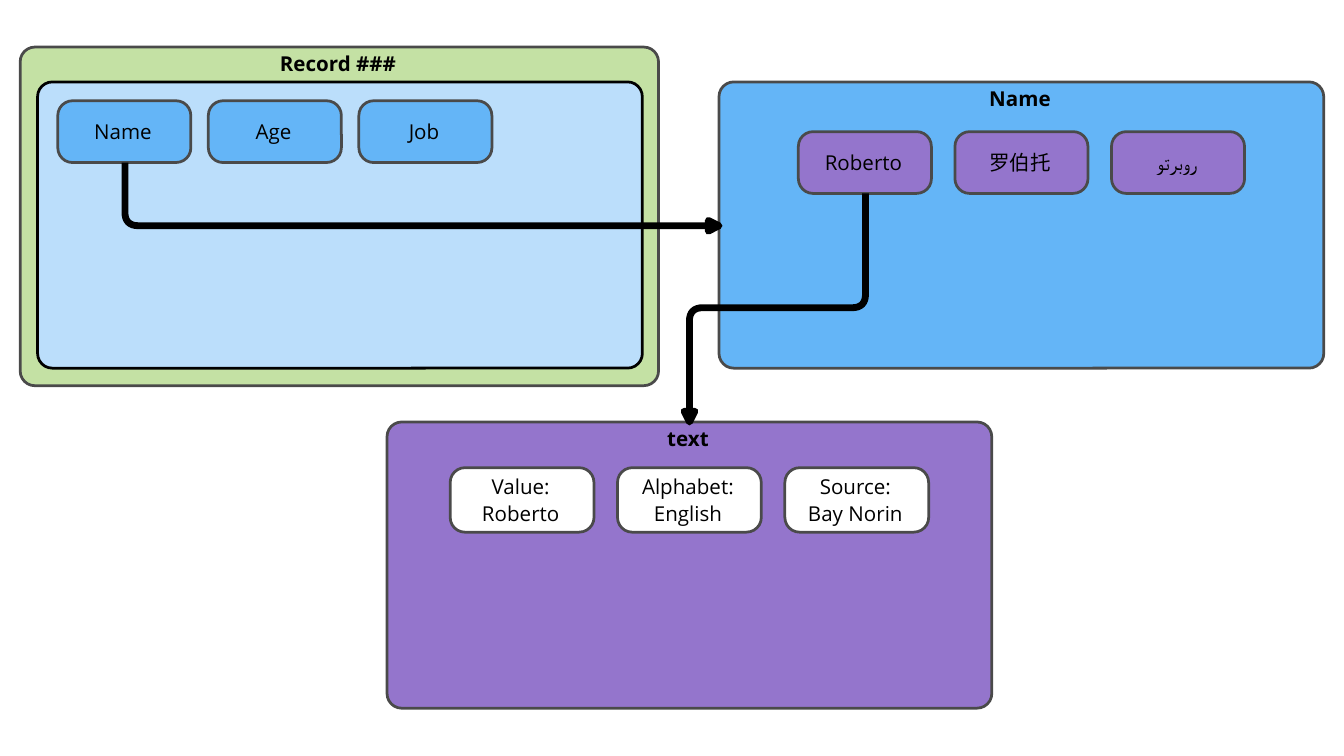
from dataclasses import dataclass

from pptx import Presentation
from pptx.dml.color import RGBColor
from pptx.enum.shapes import MSO_SHAPE
from pptx.enum.text import MSO_ANCHOR, PP_ALIGN
from pptx.util import Inches, Pt

BLACK = RGBColor(0x00, 0x00, 0x00)
WHITE = RGBColor(0xFF, 0xFF, 0xFF)
GRAY = RGBColor(0x4A, 0x4A, 0x4A)
GREEN = RGBColor(0xC4, 0xE1, 0xA4)
PALE_BLUE = RGBColor(0xBB, 0xDE, 0xFB)
BLUE = RGBColor(0x64, 0xB5, 0xF7)
PURPLE = RGBColor(0x94, 0x75, 0xCC)

FONT = "Open Sans"
PAGE_WIDTH = 10
PAGE_HEIGHT = PAGE_WIDTH * 9 / 16
CORNER = 0.11
BEND = 0.1
BEND_STEPS = 8
HEAD = 0.08

Point = tuple[float, float]


@dataclass
class Panel:
    left: float
    top: float
    width: float
    height: float
    fill: RGBColor
    title: str = ""
    outline: RGBColor = GRAY


@dataclass
class TileRow:
    """Tiles spread evenly from the first left edge to the last one."""
    first: float
    last: float
    top: float
    width: float
    height: float
    fill: RGBColor
    labels: list[str]


RECORD = Panel(0.15, 0.35, 4.75, 2.52, GREEN, "Record ###")
RECORD_BODY = Panel(0.28, 0.61, 4.5, 2.13, PALE_BLUE, outline=BLACK)
NAME = Panel(5.35, 0.61, 4.5, 2.13, BLUE, "Name")
TEXT = Panel(2.88, 3.14, 4.5, 2.13, PURPLE, "text")

FIELDS = TileRow(0.43, 2.67, 0.75, 0.99, 0.46, BLUE, ["Name", "Age", "Job"])
SPELLINGS = TileRow(5.94, 8.27, 0.98, 0.99, 0.46, PURPLE,
                    ["Roberto", "罗伯托", "روبرتو"])
ATTRIBUTES = TileRow(3.35, 5.84, 3.48, 1.07, 0.48, WHITE,
                     ["Value: Roberto", "Alphabet:\nEnglish", "Source:\nBay Norin"])

NAME_ROUTE = [(0.93, 1.21), (0.93, 1.68), (5.35, 1.68)]
TEXT_ROUTE = [(6.44, 1.44), (6.44, 2.29), (5.13, 2.29), (5.13, 3.14)]


def add_box(page, left: float, top: float, width: float, height: float,
            fill: RGBColor, outline: RGBColor):
    box = page.shapes.add_shape(MSO_SHAPE.ROUNDED_RECTANGLE, Inches(left),
                                Inches(top), Inches(width), Inches(height))
    box.adjustments[0] = CORNER / min(width, height)
    box.shadow.inherit = False
    box.fill.solid()
    box.fill.fore_color.rgb = fill
    box.line.color.rgb = outline
    box.line.width = Pt(1.47)
    return box


def write(box, text: str, anchor: MSO_ANCHOR, bold: bool = False) -> None:
    frame = box.text_frame
    frame.text = text
    frame.word_wrap = True
    frame.vertical_anchor = anchor
    frame.margin_left = frame.margin_bottom = 0
    frame.margin_right = Inches(0.02)
    frame.margin_top = Inches(-0.02)
    for para in frame.paragraphs:
        para.alignment = PP_ALIGN.CENTER
        para.line_spacing = 1.11
        for span in para.runs:
            span.font.name = FONT
            span.font.size = Pt(11)
            span.font.bold = bold
            span.font.color.rgb = BLACK


def add_panel(page, panel: Panel) -> None:
    box = add_box(page, panel.left, panel.top, panel.width, panel.height,
                  panel.fill, panel.outline)
    if panel.title:
        write(box, panel.title, MSO_ANCHOR.TOP, bold=True)


def add_tiles(page, row: TileRow) -> None:
    pitch = (row.last - row.first) / (len(row.labels) - 1)
    for index, label in enumerate(row.labels):
        box = add_box(page, row.first + index * pitch, row.top, row.width,
                      row.height, row.fill, GRAY)
        write(box, label, MSO_ANCHOR.MIDDLE)


def toward(start: Point, end: Point, distance: float) -> Point:
    """Return the point at a distance from start on an axis-parallel leg."""
    length = abs(end[0] - start[0]) + abs(end[1] - start[1])
    share = distance / length
    return (start[0] + (end[0] - start[0]) * share,
            start[1] + (end[1] - start[1]) * share)


def round_bends(route: list[Point]) -> list[Point]:
    """Replace each inner corner of the route by points on a curve."""
    points = [route[0]]
    for before, corner, after in zip(route, route[1:], route[2:]):
        first, last = toward(corner, before, BEND), toward(corner, after, BEND)
        for step in range(BEND_STEPS + 1):
            t = step / BEND_STEPS
            points.append(tuple((1 - t) ** 2 * a + 2 * t * (1 - t) * c + t ** 2 * b
                                for a, c, b in zip(first, corner, last)))
    return points + [route[-1]]


def add_path(page, points: list[Point], closed: bool) -> None:
    corners = [(Inches(x), Inches(y)) for x, y in points]
    builder = page.shapes.build_freeform(*corners[0])
    builder.add_line_segments(corners[1:], close=closed)
    path = builder.convert_to_shape()
    path.shadow.inherit = False
    path.line.color.rgb = BLACK
    path.line.width = Pt(3.66)
    if closed:
        path.fill.solid()
        path.fill.fore_color.rgb = BLACK
    else:
        path.fill.background()


def add_arrow(page, route: list[Point]) -> None:
    add_path(page, round_bends(route), closed=False)
    tip = route[-1]
    x, y = toward(tip, route[-2], HEAD)
    half = HEAD / 2
    across = (0, half) if route[-2][1] == tip[1] else (half, 0)
    wings = [(x + side * across[0], y + side * across[1]) for side in (1, -1)]
    add_path(page, [tip, *wings], closed=True)


def main() -> None:
    deck = Presentation()
    deck.slide_width, deck.slide_height = Inches(PAGE_WIDTH), Inches(PAGE_HEIGHT)
    page = deck.slides.add_slide(deck.slide_layouts[6])

    add_panel(page, RECORD)
    add_panel(page, RECORD_BODY)
    add_tiles(page, FIELDS)
    add_panel(page, NAME)
    add_arrow(page, NAME_ROUTE)
    add_tiles(page, SPELLINGS)
    add_panel(page, TEXT)
    add_tiles(page, ATTRIBUTES)
    add_arrow(page, TEXT_ROUTE)

    deck.save("out.pptx")


if __name__ == "__main__":
    main()
